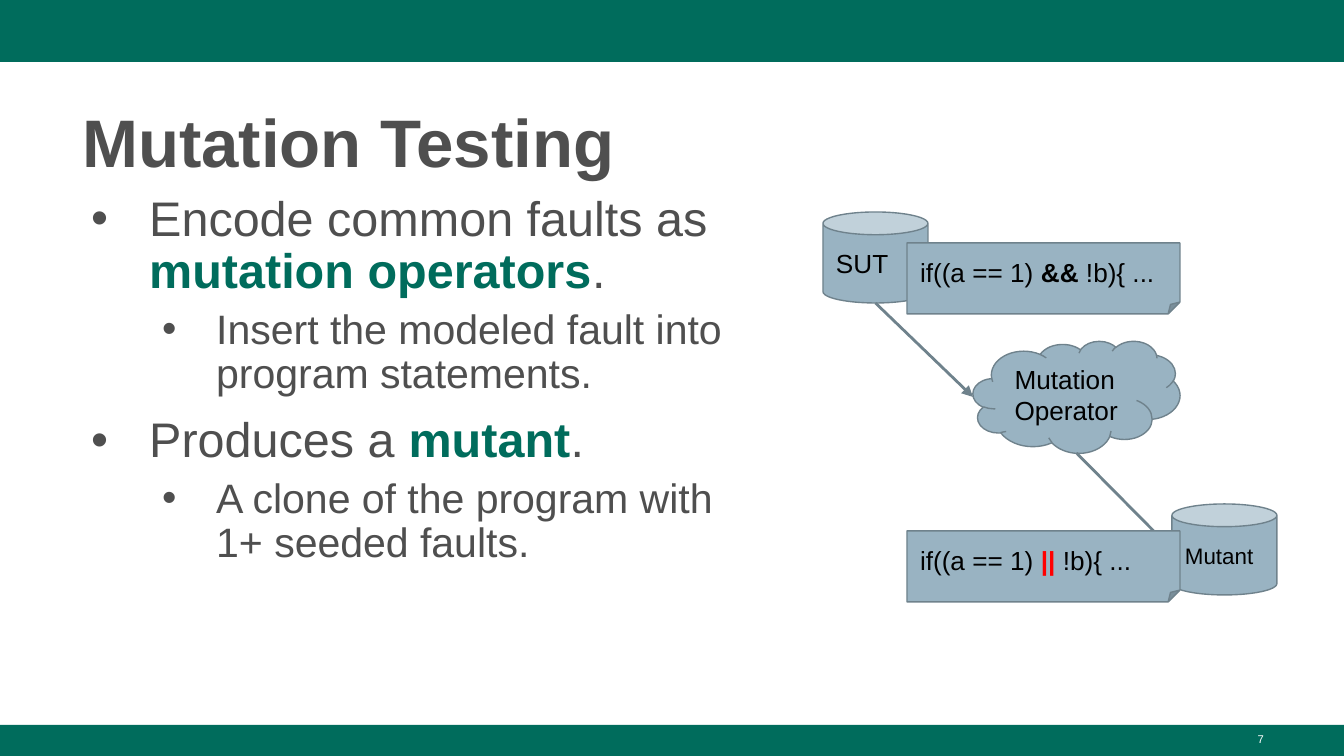
"""Build the Mutation Testing slide with bullets and a mutation flow diagram."""
from dataclasses import dataclass

from lxml import etree
from pptx import Presentation
from pptx.dml.color import RGBColor
from pptx.enum.shapes import MSO_CONNECTOR, MSO_SHAPE
from pptx.enum.text import MSO_ANCHOR, PP_ALIGN
from pptx.oxml.ns import qn
from pptx.util import Pt

RECT, CAN, CLOUD, NOTE = (MSO_SHAPE.RECTANGLE, MSO_SHAPE.CAN,
                          MSO_SHAPE.CLOUD, MSO_SHAPE.FOLDED_CORNER)
STRAIGHT = MSO_CONNECTOR.STRAIGHT
TOP, MIDDLE, BOTTOM = MSO_ANCHOR.TOP, MSO_ANCHOR.MIDDLE, MSO_ANCHOR.BOTTOM
LEFT, RIGHT = PP_ALIGN.LEFT, PP_ALIGN.RIGHT


@dataclass(frozen=True)
class Theme:
    font: str = "Arial"
    green: str = "006C5C"
    gray: str = "4F4F4F"
    black: str = "000000"
    white: str = "FFFFFF"
    red: str = "FF0000"
    node: str = "99B3C2"
    edge: str = "6F828C"
    title: int = 36
    label: int = 14
    small_label: int = 12
    page: int = 6


THEME = Theme()
EMU_PER_PX = 914400 / 134.4
SLIDE_W, SLIDE_H = 1344, 756

BANDS = [(0, 0, SLIDE_W, 62), (0, 725, SLIDE_W, 31)]
TITLE = "Mutation Testing"
BULLETS = [
    (0, ["Encode common faults as ", ("mutation operators", THEME.green), "."]),
    (1, ["Insert the modeled fault into program statements."]),
    (0, ["Produces a ", ("mutant", THEME.green), "."]),
    (1, ["A clone of the program with 1+ seeded faults."]),
]
LEVELS = [
    {"size": 26, "margin": 67, "hang": 58, "before": 10},
    {"size": 22, "margin": 134, "hang": 54, "before": 5},
]
SUT_BOX, MUTANT_BOX = (823, 212, 105, 91), (1172, 504, 105, 91)
OPERATOR_BOX = (973, 341, 207, 112)
NODES = [
    (CAN, SUT_BOX, ["SUT"], THEME.label),
    (CAN, MUTANT_BOX, ["Mutant"], THEME.small_label),
    (CLOUD, OPERATOR_BOX, ["Mutation Operator"], THEME.label),
]
FLOWS = [(SUT_BOX, OPERATOR_BOX), (OPERATOR_BOX, MUTANT_BOX)]
SNIPPETS = [
    (NOTE, (907, 243, 273, 71),
     ["if((a == 1) ", ("&&", THEME.black), " !b){ ..."], THEME.label),
    (NOTE, (907, 531, 273, 71),
     ["if((a == 1)", (" || ", THEME.red), "!b){ ..."], THEME.label),
]


def px(length):
    return round(length * EMU_PER_PX)


def rgb(color):
    return RGBColor.from_string(color)


def set_font(font, size, color, bold=False):
    font.name, font.size, font.bold = THEME.font, Pt(size), bold
    font.color.rgb = rgb(color)


def write(paragraph, parts, size, color, bold=False):
    set_font(paragraph.font, size, color, bold)
    for part in parts:
        words, accent = (part, None) if isinstance(part, str) else part
        run = paragraph.add_run()
        run.text = words
        if accent:
            run.font.bold = True
            run.font.color.rgb = rgb(accent)


def add_text_frame(slide, box, anchor=TOP):
    frame = slide.shapes.add_textbox(*map(px, box)).text_frame
    frame.word_wrap = True
    frame.vertical_anchor = anchor
    return frame


def add_block(slide, kind, box, fill, edge=None):
    block = slide.shapes.add_shape(kind, *map(px, box))
    block.shadow.inherit = False
    block.fill.solid()
    block.fill.fore_color.rgb = rgb(fill)
    if edge:
        block.line.color.rgb = rgb(edge)
        block.line.width = Pt(0.75)
    else:
        block.line.fill.background()
    return block


def add_node(slide, kind, box, parts, size):
    node = add_block(slide, kind, box, THEME.node, THEME.edge)
    frame = node.text_frame
    frame.word_wrap = True
    frame.vertical_anchor = MIDDLE
    frame.margin_left = frame.margin_right = px(13)
    frame.margin_top = frame.margin_bottom = px(13)
    frame.paragraphs[0].alignment = LEFT
    write(frame.paragraphs[0], parts, size, THEME.black)


def add_flow(slide, source, target):
    left, top, width, height = source
    start = left + width / 2, top + height
    end = target[0], target[1] + target[3] / 2
    flow = slide.shapes.add_connector(STRAIGHT, *map(px, start + end))
    flow.line.color.rgb = rgb(THEME.edge)
    flow.line.width = Pt(1.5)
    etree.SubElement(flow.line._get_or_add_ln(), qn("a:tailEnd"), type="triangle")
    etree.SubElement(flow._element.spPr, qn("a:effectLst"))


def add_bullet(paragraph, margin, hang):
    props = paragraph._p.get_or_add_pPr()
    props.set("marL", str(px(margin)))
    props.set("indent", str(-px(hang)))
    color = etree.SubElement(props, qn("a:buClr"))
    etree.SubElement(color, qn("a:srgbClr"), val=THEME.gray)
    etree.SubElement(props, qn("a:buFont"), typeface=THEME.font)
    etree.SubElement(props, qn("a:buChar"), char="•")


def add_bullets(slide, box):
    frame = add_text_frame(slide, box)
    for index, (level, parts) in enumerate(BULLETS):
        style = LEVELS[level]
        paragraph = frame.add_paragraph() if index else frame.paragraphs[0]
        paragraph.level = level
        paragraph.line_spacing = 0.9
        paragraph.space_before = Pt(style["before"] if index else 0)
        add_bullet(paragraph, style["margin"], style["hang"])
        write(paragraph, parts, style["size"], THEME.gray)


def main():
    deck = Presentation()
    deck.slide_width, deck.slide_height = px(SLIDE_W), px(SLIDE_H)
    slide = deck.slides.add_slide(deck.slide_layouts[6])
    for box in BANDS:
        add_block(slide, RECT, box, THEME.green)

    heading = add_text_frame(slide, (69, 90, 1208, 98), BOTTOM).paragraphs[0]
    heading.line_spacing = 1.08
    write(heading, [TITLE], THEME.title, THEME.gray, bold=True)
    add_bullets(slide, (69, 188, 711, 512))

    for node in NODES:
        add_node(slide, *node)
    for source, target in FLOWS:
        add_flow(slide, source, target)
    for snippet in SNIPPETS:
        add_node(slide, *snippet)

    page_number = add_text_frame(slide, (964, 726, 313, 30)).paragraphs[0]
    page_number.alignment = RIGHT
    write(page_number, ["7"], THEME.page, THEME.white)
    deck.save("out.pptx")


if __name__ == "__main__":
    main()
